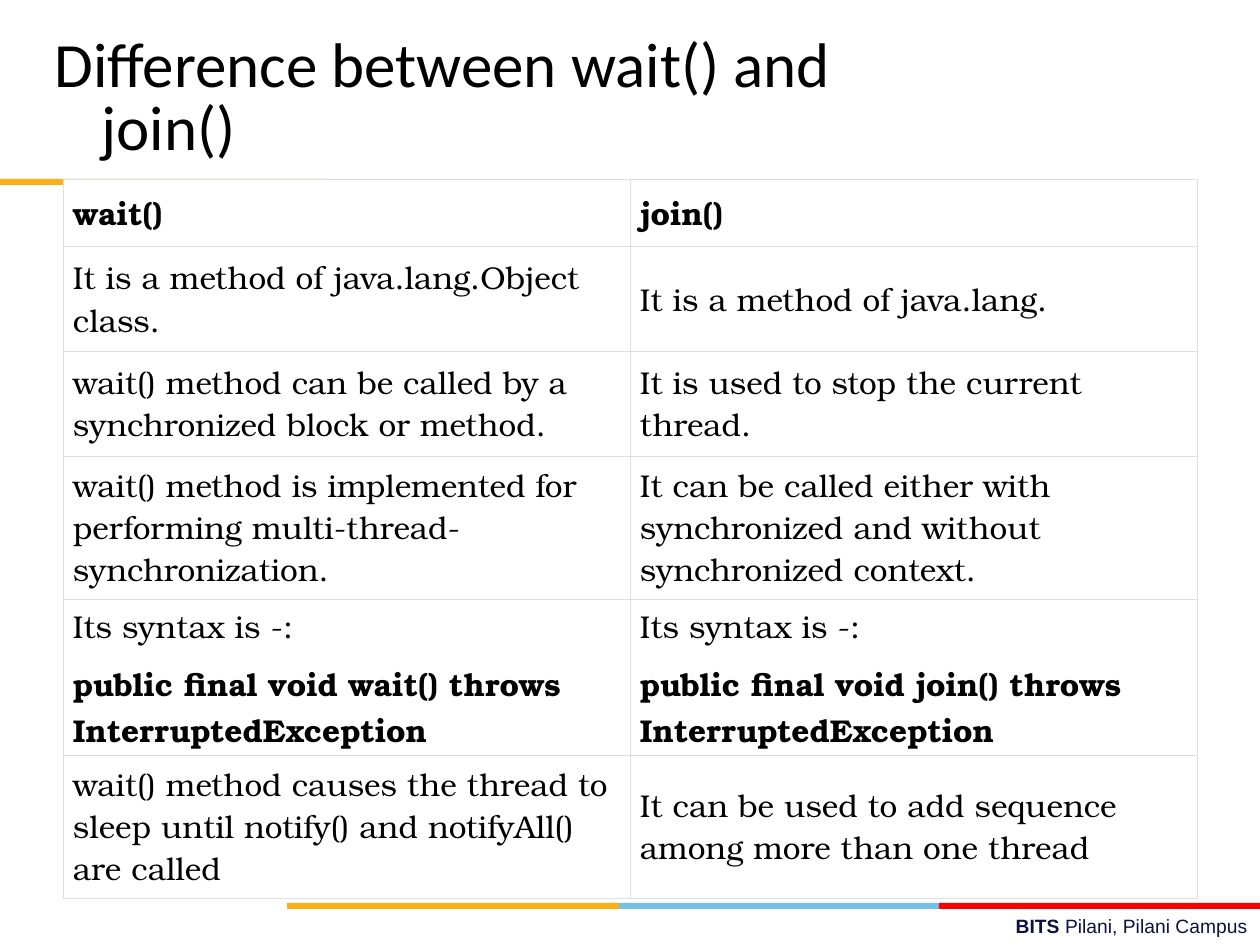
from lxml.etree import SubElement
from pptx import Presentation
from pptx.dml.color import RGBColor
from pptx.enum.shapes import MSO_SHAPE as Shape
from pptx.enum.text import MSO_ANCHOR as Anchor, PP_ALIGN as Align
from pptx.oxml.ns import qn
from pptx.util import Pt

SCALE = 914400 / 126
COLORS = {
    "ink": "000000", "paper": "FFFFFF", "rule": "DFDFDF", "navy": "101141",
    "gold": "FCB017", "sky": "76C2E5", "red": "FF0000",
}
TITLE_FONT = {"name": "Calibri", "size": Pt(36), "bold": False}
CELL_FONT = {"name": "TeX Gyre Bonum", "size": Pt(18), "bold": False}
FOOTER_FONT = {"name": "Arial", "size": Pt(11), "bold": False}
CELL_FRAME = {"margin_left": 10, "margin_right": 10, "margin_top": 6, "margin_bottom": 6}
ROW_HEIGHTS = [67, 105, 105, 143, 156, 143]
SYNTAX = "Its syntax is -:"
ROWS = [
    (["wait()"], ["join()"]),
    (["It is a method of java.lang.Object class."], ["It is a method of java.lang."]),
    (["wait() method can be called by a synchronized block or method."],
     ["It is used to stop the current thread."]),
    (["wait() method is implemented for performing multi-thread-synchronization."],
     ["It can be called either with synchronized and without synchronized context."]),
    ([SYNTAX, "public final void wait() throws InterruptedException"],
     [SYNTAX, "public final void join() throws InterruptedException"]),
    (["wait() method causes the thread to sleep until notify() and notifyAll() are called"],
     ["It can be used to add sequence among more than one thread"]),
]


def px(length):
    """Turn px into EMU."""
    return round(length * SCALE)


def rgb(name):
    """Look up a named colour."""
    return RGBColor.from_string(COLORS[name])


def apply(target, values):
    """Set every attribute in a dict of format values."""
    for key, value in values.items():
        setattr(target, key, value)


def add_span(para, text, font, color="ink", **changes):
    """Add one formatted run of text."""
    span = para.add_run()
    span.text = text
    apply(span.font, {**font, **changes})
    span.font.color.rgb = rgb(color)


def add_box(page, left, top, width, height):
    """Add a wrapping text box and return its frame."""
    frame = page.shapes.add_textbox(px(left), px(top), px(width), px(height)).text_frame
    frame.word_wrap = True
    return frame


def add_title(page, left, top, width, height):
    """Place the title with its hanging indent."""
    frame = add_box(page, left, top, width, height)
    frame.vertical_anchor = Anchor.MIDDLE
    para = frame.paragraphs[0]
    para.line_spacing = Pt(36)
    properties = para._p.get_or_add_pPr()
    properties.set("marL", str(px(47)))
    properties.set("indent", str(px(-47)))
    add_span(para, "Difference between wait() and join()", TITLE_FONT)


def add_stripe(page, left, top, height, parts):
    """Lay coloured bars end to end from the left edge."""
    for color, width in parts:
        bar = page.shapes.add_shape(Shape.RECTANGLE, px(left), px(top), px(width), px(height))
        bar.shadow.inherit = False
        bar.fill.solid()
        bar.fill.fore_color.rgb = rgb(color)
        bar.line.fill.background()
        left += width


def add_borders(cell):
    """Draw a hairline on all four sides of a cell."""
    properties = cell._tc.get_or_add_tcPr()
    for index, side in enumerate(("lnL", "lnR", "lnT", "lnB")):
        line = SubElement(properties, qn(f"a:{side}"), w="762")
        fill = SubElement(line, qn("a:solidFill"))
        SubElement(fill, qn("a:srgbClr"), val=COLORS["rule"])
        properties.insert(index, line)


def fill_cell(cell, lines, header):
    """Format a cell and write its paragraphs, with code lines in bold."""
    apply(cell, {key: px(value) for key, value in CELL_FRAME.items()})
    cell.vertical_anchor = Anchor.MIDDLE
    cell.fill.solid()
    cell.fill.fore_color.rgb = rgb("paper")
    add_borders(cell)
    frame = cell.text_frame
    for index, line in enumerate(lines):
        para = frame.add_paragraph() if index else frame.paragraphs[0]
        if len(lines) > 1:
            para.space_after = Pt(7.5)
        add_span(para, line, CELL_FONT, bold=header or index > 0)


def add_comparison(page, left, top, width):
    """Place the table that compares the two methods."""
    table = page.shapes.add_table(
        len(ROWS), 2, px(left), px(top), px(width), px(sum(ROW_HEIGHTS))).table
    for column in table.columns:
        column.width = px(width / 2)
    for index, (height, texts) in enumerate(zip(ROW_HEIGHTS, ROWS)):
        table.rows[index].height = px(height)
        for cell, lines in zip(table.rows[index].cells, texts):
            fill_cell(cell, lines, header=index == 0)


def add_footer(page, left, top, width, height):
    """Place the campus name at the right."""
    para = add_box(page, left, top, width, height).paragraphs[0]
    para.alignment = Align.RIGHT
    add_span(para, "BITS ", FOOTER_FONT, "navy", bold=True)
    add_span(para, "Pilani, Pilani Campus", FOOTER_FONT, "navy")


def main():
    """Build the slide and save the deck."""
    deck = Presentation()
    deck.slide_width, deck.slide_height = px(1260), px(945)
    page = deck.slides.add_slide(deck.slide_layouts[6])
    add_footer(page, 451, 908, 809, 37)
    add_stripe(page, 287, 903, 6, [("gold", 332), ("sky", 320), ("red", 321)])
    add_stripe(page, 0, 179, 6, [("gold", 325)])
    add_title(page, 42, 21, 872, 158)
    add_comparison(page, 63, 179, 1134)
    deck.save("out.pptx")


if __name__ == "__main__":
    main()
